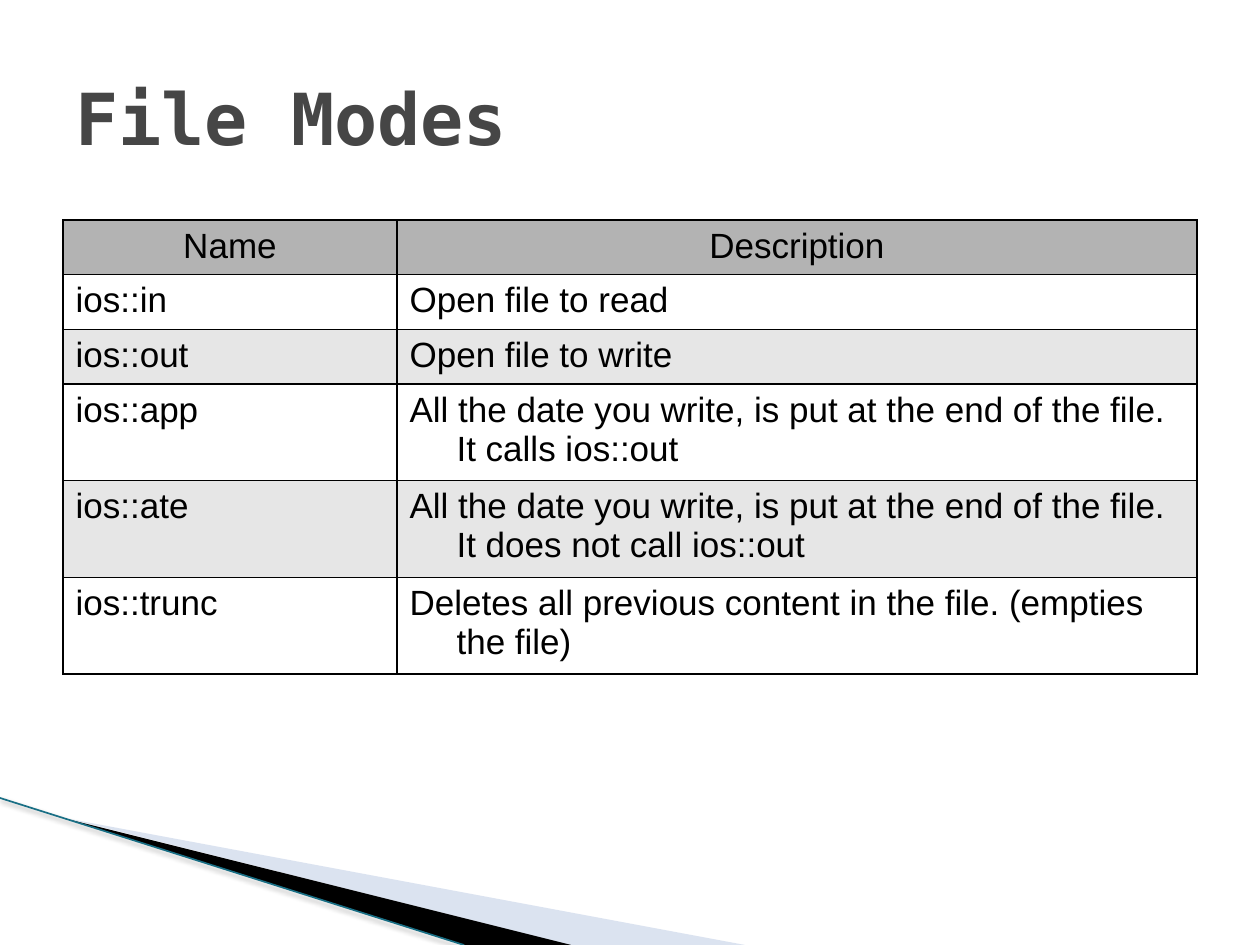
from dataclasses import dataclass

from lxml.etree import SubElement
from pptx import Presentation
from pptx.dml.color import RGBColor as Color
from pptx.enum.shapes import MSO_CONNECTOR as Connector
from pptx.enum.text import MSO_ANCHOR as Anchor, PP_ALIGN as Align
from pptx.oxml import parse_xml
from pptx.oxml.ns import nsdecls, qn
from pptx.util import Emu, Pt

PIXELS_PER_INCH = 126


@dataclass(frozen=True)
class Theme:
    title: str = "464646"
    text: str = "000000"
    header: str = "B3B3B3"
    band: str = "E6E6E6"
    border: str = "000000"
    pale_wedge: str = "A7B9DB"
    dark_wedge: str = "000000"
    accent: str = "196F85"
    title_font: str = "DejaVu Sans Mono"
    body_font: str = "Arial"
    title_size: int = 41
    body_size: int = 20
    line_width: float = 0.96


THEME = Theme()

MODES = [
    ("Name", "Description"),
    ("ios::in", "Open file to read"),
    ("ios::out", "Open file to write"),
    ("ios::app", "All the date you write, is put at the end of the file. It calls ios::out"),
    ("ios::ate", "All the date you write, is put at the end of the file. It does not call ios::out"),
    ("ios::trunc", "Deletes all previous content in the file. (empties the file)"),
]
COLUMN_WIDTHS = [334, 800]
ROW_HEIGHTS = [52, 52, 52, 91, 91, 91]


def px(pixels):
    return Emu(round(pixels * 914400 / PIXELS_PER_INCH))


def style_font(paragraph, name, size, color, bold=False):
    for run in paragraph.runs:
        run.font.name = name
        run.font.size = Pt(size)
        run.font.bold = bold
        run.font.color.rgb = Color.from_string(color)


def set_frame(shape, frame):
    left, top, width, height = map(px, frame)
    for point in shape._element.iter(qn("a:pt")):
        point.set("x", str(int(point.get("x")) + shape.left - left))
        point.set("y", str(int(point.get("y")) + shape.top - top))
    for outline in shape._element.iter(qn("a:path")):
        outline.set("w", str(width))
        outline.set("h", str(height))
    shape.left, shape.top, shape.width, shape.height = left, top, width, height


def add_wedge(slide, points, frame, color, opacity=100):
    builder = slide.shapes.build_freeform(*map(px, points[0]), scale=1.0)
    builder.add_line_segments([(px(x), px(y)) for x, y in points[1:]], close=True)
    shape = builder.convert_to_shape()
    set_frame(shape, frame)
    shape.shadow.inherit = False
    shape.fill.solid()
    shape.fill.fore_color.rgb = Color.from_string(color)
    shape.line.fill.background()
    if opacity < 100:
        fill_color = shape.fill._xPr.find(qn("a:solidFill"))[0]
        SubElement(fill_color, qn("a:alpha"), val=str(opacity * 1000))


def add_edge(slide, start, end):
    edge = slide.shapes.add_connector(Connector.STRAIGHT, *map(px, start + end))
    edge.line.color.rgb = Color.from_string(THEME.accent)
    edge.line.width = Pt(THEME.line_width)
    edge._element.spPr.append(parse_xml(
        f'<a:effectLst {nsdecls("a")}>'
        f'<a:outerShdw blurRad="{Pt(3.1)}" dist="{Pt(1.6)}" dir="5400000">'
        '<a:srgbClr val="000000"><a:alpha val="38000"/></a:srgbClr>'
        '</a:outerShdw></a:effectLst>'))


def add_title(slide, text):
    box = slide.shapes.add_textbox(px(63), px(38), px(1134), px(157))
    frame = box.text_frame
    frame.word_wrap = True
    frame.vertical_anchor = Anchor.MIDDLE
    frame.text = text
    style_font(frame.paragraphs[0], THEME.title_font, THEME.title_size, THEME.title, bold=True)


def add_borders(cell):
    properties = cell._tc.get_or_add_tcPr()
    for index, side in enumerate(("lnL", "lnR", "lnT", "lnB")):
        properties.insert(index, parse_xml(
            f'<a:{side} {nsdecls("a")} w="{Pt(THEME.line_width)}"><a:solidFill>'
            f'<a:srgbClr val="{THEME.border}"/></a:solidFill></a:{side}>'))


def fill_cell(cell, text, row):
    cell.text_frame.text = text
    paragraph = cell.text_frame.paragraphs[0]
    paragraph.alignment = Align.CENTER if row == 0 else Align.LEFT
    properties = paragraph._p.get_or_add_pPr()
    properties.set("marL", str(px(47)))
    properties.set("indent", str(px(-47)))
    style_font(paragraph, THEME.body_font, THEME.body_size, THEME.text)
    if row % 2:
        cell.fill.background()
    else:
        cell.fill.solid()
        cell.fill.fore_color.rgb = Color.from_string(THEME.band if row else THEME.header)
    add_borders(cell)


def add_mode_table(slide):
    frame = slide.shapes.add_table(
        len(MODES), len(COLUMN_WIDTHS), px(63), px(220),
        px(sum(COLUMN_WIDTHS)), px(sum(ROW_HEIGHTS)))
    table = frame.table
    table.first_row = table.horz_banding = False
    for column, width in zip(table.columns, COLUMN_WIDTHS):
        column.width = px(width)
    for row, height in enumerate(ROW_HEIGHTS):
        table.rows[row].height = px(height)
        for column, text in enumerate(MODES[row]):
            fill_cell(table.cell(row, column), text, row)


def main():
    presentation = Presentation()
    presentation.slide_width = px(1260)
    presentation.slide_height = px(945)
    slide = presentation.slides.add_slide(presentation.slide_layouts[6])
    add_wedge(slide, [(69, 819), (745, 945), (570, 945)], (98, 689, 524, 199),
              THEME.pale_wedge, opacity=40)
    add_wedge(slide, [(67, 819), (571, 945), (465, 945)], (-8, 798, 524, 116),
              THEME.dark_wedge)
    add_edge(slide, (0, 798), (464, 945))
    add_title(slide, "File Modes")
    add_mode_table(slide)
    presentation.save("out.pptx")


main()
